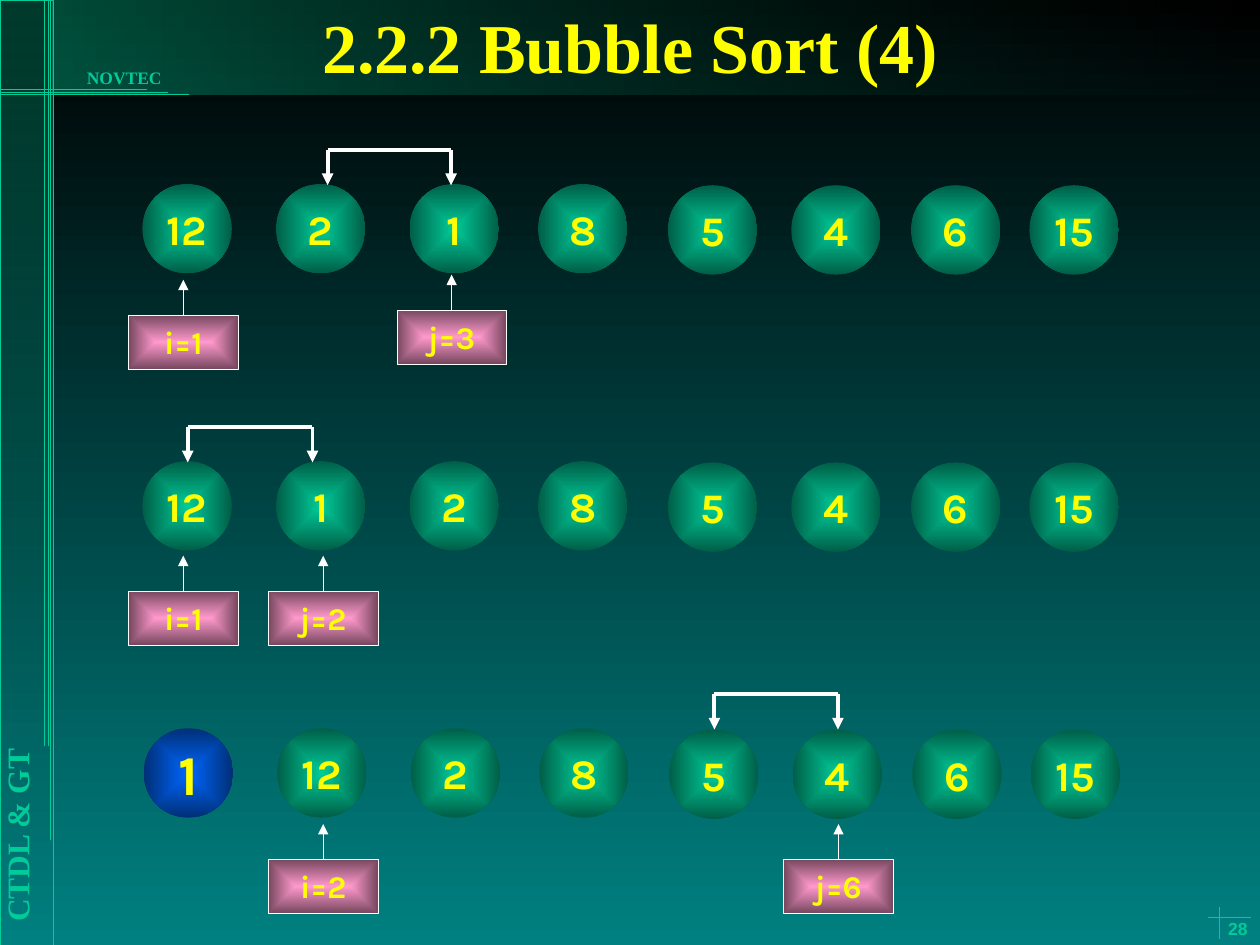
from lxml import etree
from pptx import Presentation
from pptx.dml.color import RGBColor
from pptx.enum.shapes import MSO_CONNECTOR, MSO_SHAPE
from pptx.enum.text import MSO_ANCHOR, PP_ALIGN
from pptx.oxml import parse_xml
from pptx.oxml.ns import nsdecls, qn
from pptx.util import Inches, Pt

COLORS = {
    "black": "000000", "teal": "008080", "green": "00CC99", "dark_green": "005E47",
    "blue": "0066FF", "dark_blue": "002F76", "pink": "FF99CC", "dark_pink": "76475E",
    "yellow": "FFFF00", "white": "FFFFFF",
}
SERIF, SANS, ROUND = "Times New Roman", "Arial", "Karla"
BUBBLE = 0.71
BUBBLE_LEFTS = [1.13, 2.19, 3.25, 4.27, 5.3, 6.28, 7.23, 8.17]
BOX_W, BOX_H = 0.87, 0.43
ARROW = 0.28

# Each step: bubble values, top, shift right, bracket ends, index boxes (text, left, top)
STEPS = [
    ("12 2 1 8 5 4 6 15", 1.46, 0, (2.6, 3.58), [("i=1", 1.02, 2.5), ("j=3", 3.15, 2.46)]),
    ("12 1 2 8 5 4 6 15", 3.66, 0, (1.49, 2.48), [("i=1", 1.02, 4.69), ("j=2", 2.13, 4.69)]),
    ("1 12 2 8 5 4 6 15", 5.78, 0.01, (5.67, 6.65), [("i=2", 2.13, 6.82), ("j=6", 6.22, 6.82)]),
]
SORTED_BUBBLE = (2, 0)  # step, position

# Thin frame lines: x1, y1, x2, y2
FRAME_LINES = [
    (0.35, 0, 0.35, 5.92), (0.38, 0, 0.38, 5.92), (0.4, 0, 0.4, 6.67),
    (0, 0.71, 1.17, 0.71), (0, 0.73, 1.33, 0.73), (0, 0.75, 1.5, 0.75),
    (9.59, 7.28, 9.93, 7.28), (9.68, 7.2, 9.68, 7.45),
]


def rgb(name):
    return RGBColor.from_string(COLORS[name])


class SlideBuilder:
    def __init__(self, s):
        self.s = s

    def gradient(self, sp, start, end, angle=None, alphas=(100, 100)):
        """Fill along an angle, or outward from the centre when none is given."""
        stops = "".join(
            f'<a:gs pos="{pos}"><a:srgbClr val="{COLORS[name]}">'
            f'<a:alpha val="{alpha * 1000}"/></a:srgbClr></a:gs>'
            for pos, name, alpha in zip((0, 100000), (start, end), alphas))
        if angle is None:
            way = ('<a:path path="rect"><a:fillToRect l="50000" t="50000" '
                   'r="50000" b="50000"/></a:path>')
        else:
            way = f'<a:lin ang="{angle * 60000}" scaled="0"/>'
        sp.fill.solid()
        solid = sp.element.spPr.find(qn("a:solidFill"))
        solid.getparent().replace(solid, parse_xml(
            f'<a:gradFill {nsdecls("a")} rotWithShape="1">'
            f'<a:gsLst>{stops}</a:gsLst>{way}</a:gradFill>'))

    def outline(self, sp, color=None):
        sp.shadow.inherit = False
        if color is None:
            sp.line.fill.background()
        else:
            sp.line.color.rgb = rgb(color)
            sp.line.width = Pt(0.25)

    def label(self, sp, text, size, font, color="yellow", align=PP_ALIGN.CENTER,
              anchor=MSO_ANCHOR.MIDDLE, before=0, wrap=True):
        tf = sp.text_frame
        tf.word_wrap = wrap
        tf.vertical_anchor = anchor
        p = tf.paragraphs[0]
        p.alignment = align
        p.space_before = Pt(before)
        r = p.add_run()
        r.text = text
        r.font.size = Pt(size)
        r.font.name = font
        r.font.bold = True
        r.font.color.rgb = rgb(color)

    def shape(self, kind, x, y, w, h, line=None):
        sp = self.s.shapes.add_shape(kind, Inches(x), Inches(y), Inches(w), Inches(h))
        self.outline(sp, line)
        return sp

    def side_panel(self, w, h):
        corners = [(w, 0), (w, h), (0, h)]
        builder = self.s.shapes.build_freeform(0, 0)
        builder.add_line_segments([(Inches(x), Inches(y)) for x, y in corners], close=True)
        sp = builder.convert_to_shape()
        self.outline(sp, "green")
        self.gradient(sp, "green", "dark_green", 90, (29, 0))

    def text_box(self, text, x, y, w, h, size, font, rotation=0, **style):
        sp = self.s.shapes.add_textbox(Inches(x), Inches(y), Inches(w), Inches(h))
        sp.rotation = rotation
        self.label(sp, text, size, font, "green", **style)

    def line(self, x1, y1, x2, y2, color="white", width=0.25, arrow=False):
        c = self.s.shapes.add_connector(
            MSO_CONNECTOR.STRAIGHT, Inches(x1), Inches(y1), Inches(x2), Inches(y2))
        c.line.color.rgb = rgb(color)
        c.line.width = Pt(width)
        if arrow:
            ln = c.element.spPr.find(qn("a:ln"))
            etree.SubElement(ln, qn("a:tailEnd"), type="triangle")
        etree.SubElement(c.element.spPr, qn("a:effectLst"))
        return c

    def title(self, text, x, y, w, h):
        sp = self.s.shapes.title
        sp.left, sp.top, sp.width, sp.height = (Inches(v) for v in (x, y, w, h))
        self.label(sp, text, 40, SERIF)
        sp.element.getparent().append(sp.element)  # bring in front of the backdrop

    def bubble(self, text, x, y, is_sorted=False):
        sp = self.shape(MSO_SHAPE.OVAL, x, y, BUBBLE, BUBBLE)
        color = "blue" if is_sorted else "green"
        self.gradient(sp, color, f"dark_{color}")
        self.label(sp, text, 32 if is_sorted else 24, ROUND, wrap=False)

    def index_box(self, text, x, y):
        sp = self.shape(MSO_SHAPE.RECTANGLE, x, y, BOX_W, BOX_H, "white")
        self.gradient(sp, "pink", "dark_pink")
        self.label(sp, text, 18, ROUND, wrap=False)
        middle = x + BOX_W / 2
        self.line(middle, y, middle, y - ARROW, arrow=True).begin_connect(sp, 0)

    def swap_bracket(self, x1, x2, bottom):
        top = bottom - ARROW
        self.line(x1, top, x2, top, width=2.25)
        for x in (x1, x2):
            self.line(x, top, x, bottom, width=2.25, arrow=True)


def add_backdrop(b):
    back = b.shape(MSO_SHAPE.RECTANGLE, 0, 0, 10, 7.5)
    b.gradient(back, "black", "teal", 90)
    b.side_panel(0.42, 7.5)
    band = b.shape(MSO_SHAPE.RECTANGLE, 0.42, 0, 9.58, 0.75)
    b.gradient(band, "green", "dark_green", 0, (37, 0))
    for ends in FRAME_LINES:
        b.line(*ends, color="green")
    b.text_box("CTDL & GT", -1.95, 5.13, 4.17, 0.4, 18, SERIF, rotation=270,
               align=PP_ALIGN.LEFT, anchor=MSO_ANCHOR.TOP, before=11.2)
    b.text_box("NOVTEC", 0.12, 0.48, 1.26, 0.27, 10, SERIF,
               align=PP_ALIGN.RIGHT, anchor=MSO_ANCHOR.TOP, before=6.2)
    b.text_box("28", 9.5, 7.33, 0.5, 0.17, 10, SANS,
               align=PP_ALIGN.RIGHT, anchor=MSO_ANCHOR.BOTTOM)


def main():
    prs = Presentation()
    prs.slide_width, prs.slide_height = Inches(10), Inches(7.5)
    s = prs.slides.add_slide(prs.slide_layouts[5])
    s.background.fill.solid()
    s.background.fill.fore_color.rgb = rgb("black")
    b = SlideBuilder(s)
    add_backdrop(b)
    b.title("2.2.2 Bubble Sort (4)", 0.75, -0.04, 8.5, 0.8)
    for step, (values, top, shift, bracket, boxes) in enumerate(STEPS):
        for i, (value, left) in enumerate(zip(values.split(), BUBBLE_LEFTS)):
            drop = 0.01 if i >= 4 else 0
            b.bubble(value, left + shift, top + drop, (step, i) == SORTED_BUBBLE)
        for box in boxes:
            b.index_box(*box)
        b.swap_bracket(*bracket, top + 0.01)
    prs.save("out.pptx")


if __name__ == "__main__":
    main()
